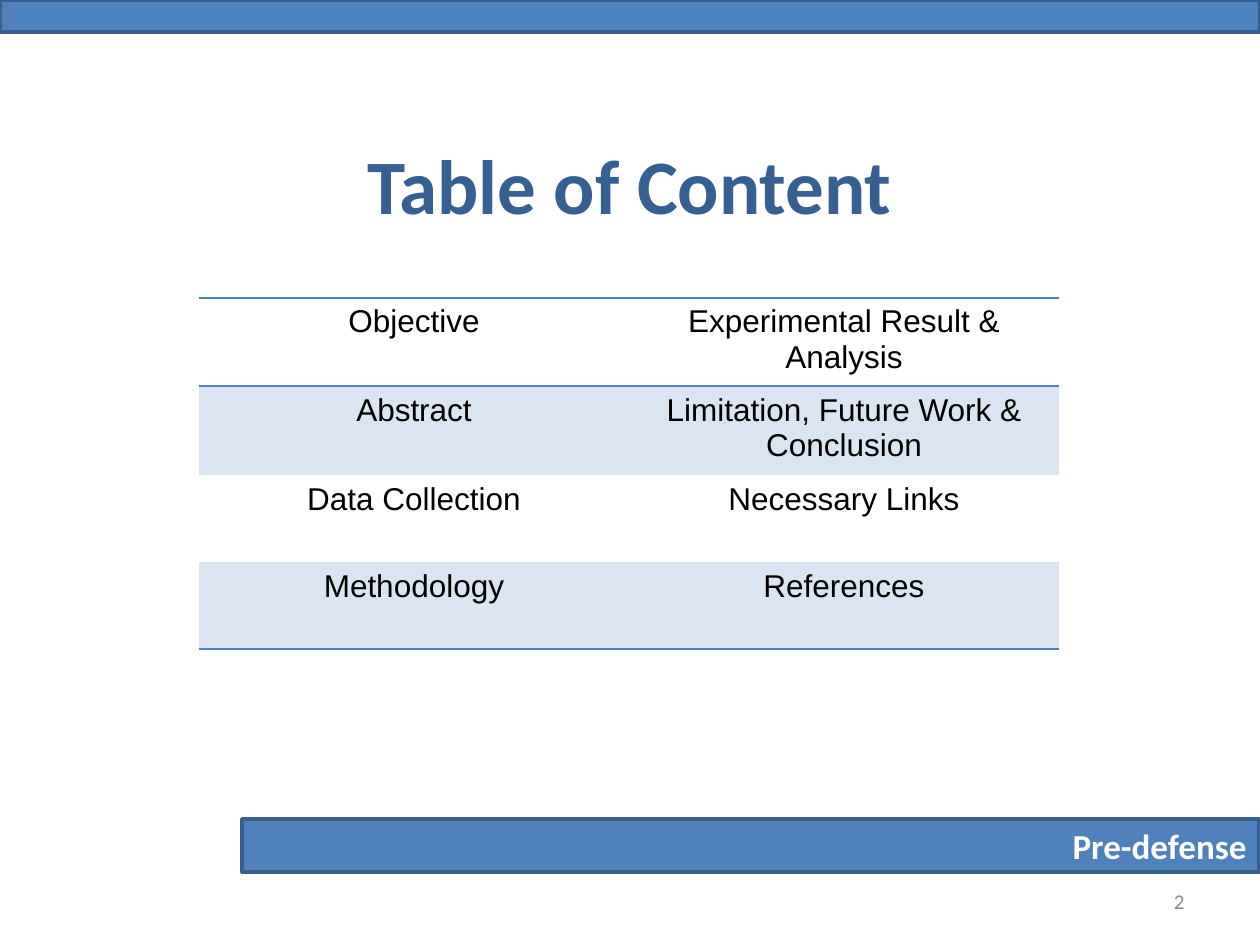
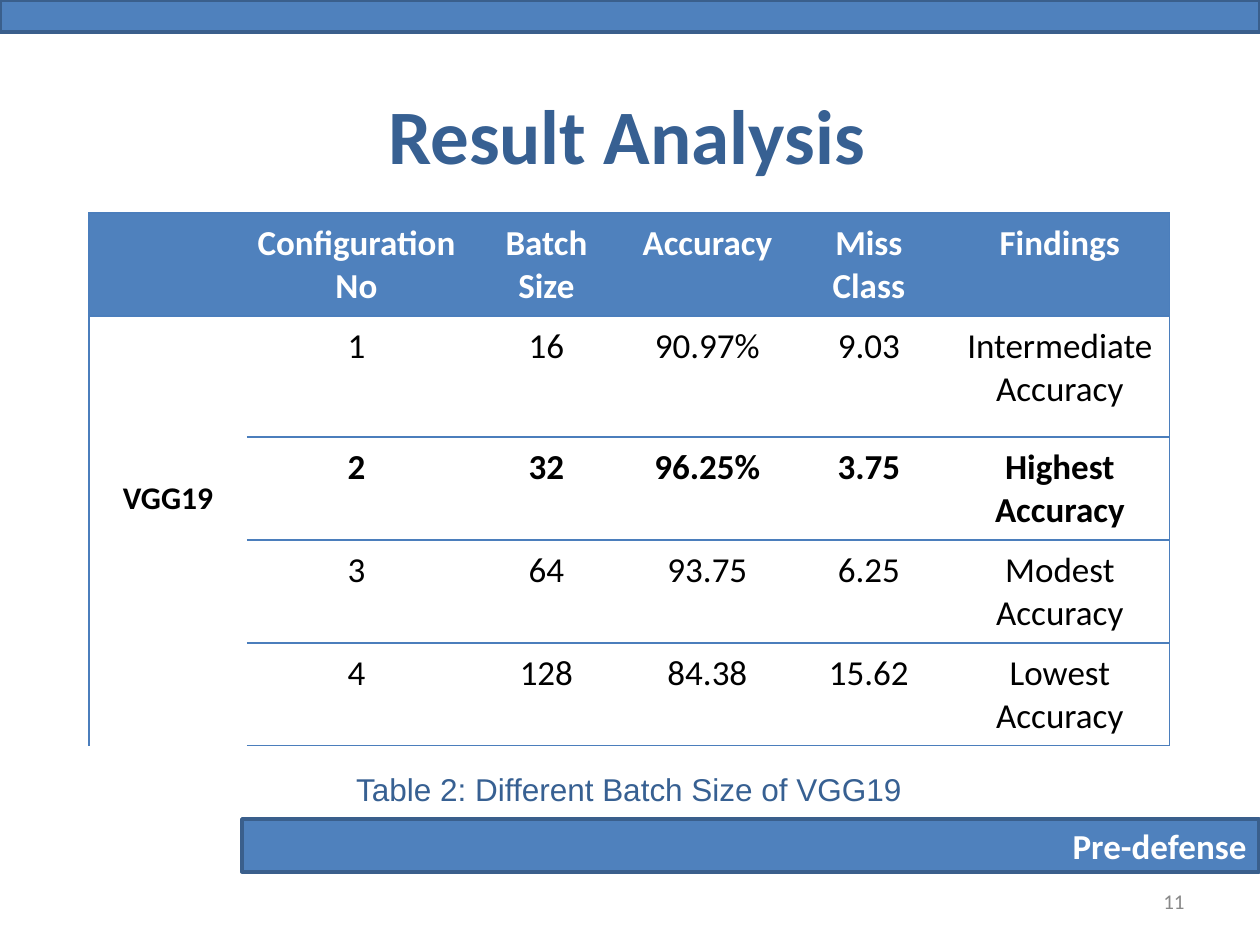
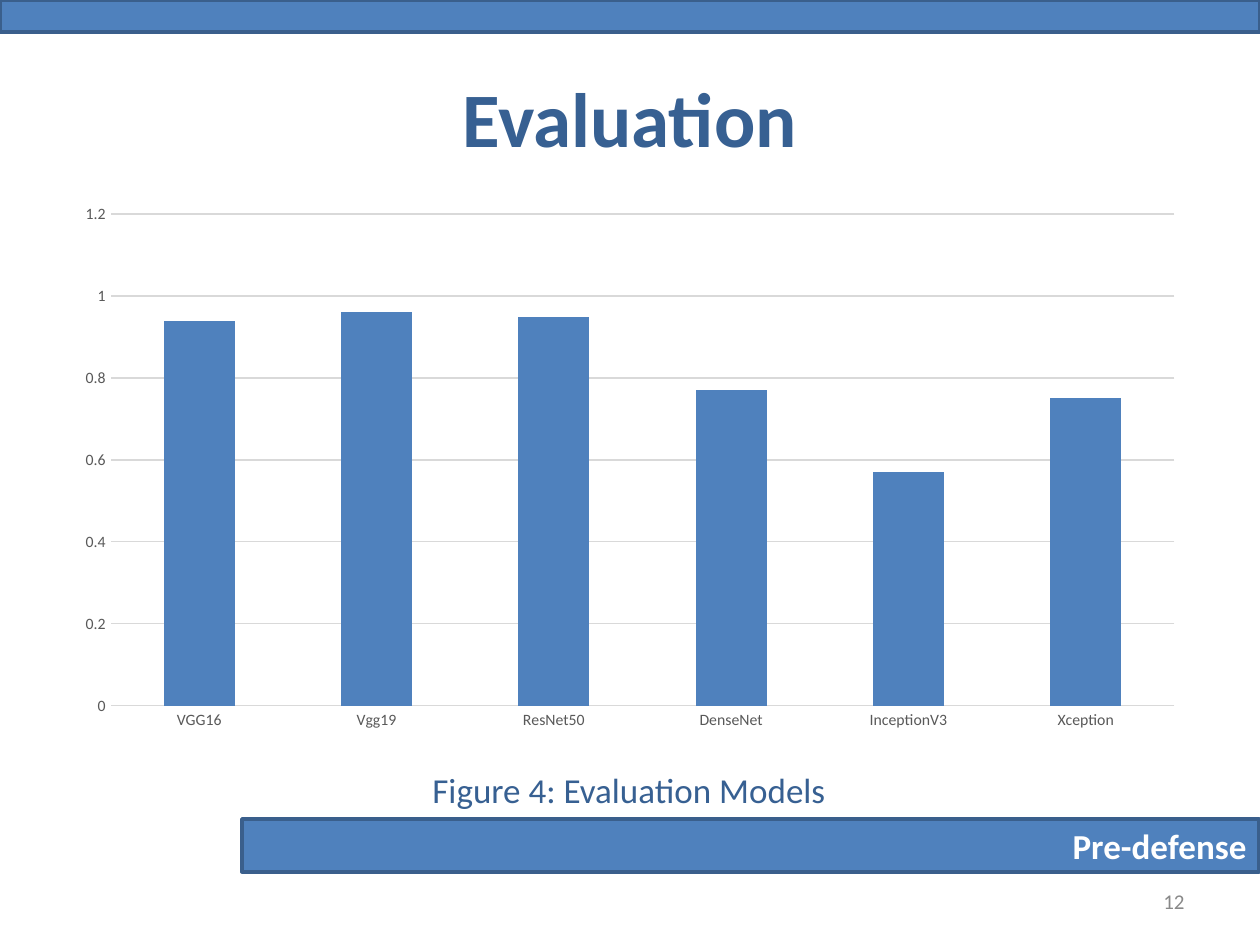
from dataclasses import dataclass

from lxml.etree import SubElement
from pptx import Presentation
from pptx.chart.data import CategoryChartData
from pptx.dml.color import RGBColor
from pptx.enum.chart import XL_CHART_TYPE, XL_TICK_MARK
from pptx.enum.shapes import MSO_SHAPE
from pptx.enum.text import MSO_ANCHOR, PP_ALIGN
from pptx.oxml.ns import qn
from pptx.util import Pt


@dataclass(frozen=True)
class Theme:
    """Colours, fonts and type sizes of the deck."""
    blue: str = "4F81BD"
    edge: str = "3A5F8C"
    rule: str = "4B7EBC"
    heading: str = "376092"
    white: str = "FFFFFF"
    black: str = "000000"
    number: str = "898989"
    label: str = "595959"
    gridline: str = "D9D9D9"
    sans: str = "Calibri"
    plain: str = "Arial"
    title: int = 44
    body: int = 20
    small: int = 18
    page_number: int = 12
    chart: int = 10
    axis: int = 9


THEME = Theme()
EMU_PER_PX = 914400 / 126
PAGE_SIZE = (1260, 945)
TOP_BAND = (0, 0, 1260, 32)
FOOTER_BAND = (242, 819, 1017, 53)
NUMBER_BOX = (903, 876, 294, 50)
TITLE_SIZE = (1134, 157)
FOOTER = "Pre-defense"
NO_STYLE = "{2D5ABB26-0587-4C30-8999-92F81FD0307C}"
EDGE_TAGS = {"left": "a:lnL", "right": "a:lnR", "top": "a:lnT", "bottom": "a:lnB"}

CONTENTS = [
    ("Objective", "Experimental Result & Analysis"),
    ("Abstract", "Limitation, Future Work & Conclusion"),
    ("Data Collection", "Necessary Links"),
    ("Methodology", "References"),
]
CONTENTS_PLACE = (199, 298)
CONTENTS_COLUMNS = (430, 430)
CONTENTS_ROWS = (87, 89, 87, 87)

RESULTS = [
    ("", "Configuration No", "Batch Size", "Accuracy", "Miss Class", "Findings"),
    ("VGG19", "1", "16", "90.97%", "9.03", "Intermediate Accuracy"),
    ("", "2", "32", "96.25%", "3.75", "Highest Accuracy"),
    ("", "3", "64", "93.75", "6.25", "Modest Accuracy"),
    ("", "4", "128", "84.38", "15.62", "Lowest Accuracy"),
]
RESULTS_PLACE = (89, 213)
RESULTS_COLUMNS = (158, 219, 161, 161, 162, 220)
RESULTS_ROWS = (103, 121, 103, 103, 103)
RESULTS_INSET = 9
MODEL_LIFT = 64
BEST_ROW = 2

ACCURACY = {"VGG16": 0.94, "Vgg19": 0.96, "ResNet50": 0.95,
            "DenseNet": 0.77, "InceptionV3": 0.57, "Xception": 0.75}
CHART_PLACE = (63, 194, 1134, 546)


def px(length):
    """Turn pixels into EMU."""
    return round(length * EMU_PER_PX)


def rgb(colour):
    """Turn a hex string into a colour."""
    return RGBColor.from_string(colour)


def write(frame, text, *, size, colour, font=THEME.sans, bold=False,
          align=PP_ALIGN.CENTER, spacing=None):
    """Write one formatted paragraph into a text frame."""
    para = frame.paragraphs[0]
    para.alignment = align
    para.line_spacing = spacing
    span = para.add_run()
    span.text = text
    span.font.size = Pt(size)
    span.font.name = font
    span.font.bold = bold
    span.font.color.rgb = rgb(colour)


def add_text(page, place, text, *, anchor=MSO_ANCHOR.MIDDLE, wrap=True, **style):
    """Add a text box."""
    box = page.shapes.add_textbox(*map(px, place))
    box.text_frame.word_wrap = wrap
    box.text_frame.vertical_anchor = anchor
    write(box.text_frame, text, **style)


def add_caption(page, place, text, **style):
    """Add a caption under a table or chart."""
    add_text(page, place, text, anchor=MSO_ANCHOR.TOP, wrap=False,
             colour=THEME.heading, spacing=1.5, **style)


def add_band(page, place):
    """Add an outlined blue band."""
    band = page.shapes.add_shape(MSO_SHAPE.RECTANGLE, *map(px, place))
    band.shadow.inherit = False
    band.fill.solid()
    band.fill.fore_color.rgb = rgb(THEME.blue)
    band.line.color.rgb = rgb(THEME.edge)
    band.line.width = Pt(2)
    return band


def add_page(deck, title, title_corner, number):
    """Add a page with its bands, title and number."""
    page = deck.slides.add_slide(deck.slide_layouts[6])
    footer = add_band(page, FOOTER_BAND)
    footer.text_frame.vertical_anchor = MSO_ANCHOR.MIDDLE
    write(footer.text_frame, FOOTER, size=THEME.body, colour=THEME.white,
          bold=True, align=PP_ALIGN.RIGHT)
    add_band(page, TOP_BAND)
    add_text(page, title_corner + TITLE_SIZE, title, size=THEME.title,
             colour=THEME.heading, bold=True)
    add_text(page, NUMBER_BOX, str(number), size=THEME.page_number,
             colour=THEME.number, align=PP_ALIGN.RIGHT)
    return page


def add_grid(page, corner, columns, rows):
    """Add an unstyled table with the given column widths and row heights."""
    place = corner + (sum(columns), sum(rows))
    table = page.shapes.add_table(len(rows), len(columns), *map(px, place)).table
    table.first_row = table.horz_banding = False
    table._tbl.tblPr.find(qn("a:tableStyleId")).text = NO_STYLE
    for column, width in zip(table.columns, columns):
        column.width = px(width)
    for row, height in zip(table.rows, rows):
        row.height = px(height)
    return table


def set_borders(cell, edges, colour, width):
    """Draw the named edges of a cell."""
    properties = cell._tc.get_or_add_tcPr()
    for edge, tag in EDGE_TAGS.items():
        if edge in edges:
            line = SubElement(properties, qn(tag), w=str(Pt(width)))
            fill = SubElement(line, qn("a:solidFill"))
            SubElement(fill, qn("a:srgbClr"), val=colour)


def set_fill(cell, colour=None, opacity=100):
    """Fill a cell, or leave it clear when no colour is given."""
    if colour is None:
        cell.fill.background()
        return
    cell.fill.solid()
    cell.fill.fore_color.rgb = rgb(colour)
    if opacity < 100:
        shade = cell._tc.tcPr.find(qn("a:solidFill")).find(qn("a:srgbClr"))
        SubElement(shade, qn("a:alpha"), val=str(opacity * 1000))


def fill_contents(table):
    """Fill the table of contents with shaded alternate rows."""
    row_edges = {0: ("top", "bottom"), len(CONTENTS) - 1: ("bottom",)}
    for r, entries in enumerate(CONTENTS):
        for c, text in enumerate(entries):
            cell = table.cell(r, c)
            set_borders(cell, row_edges.get(r, ()), THEME.blue, 1)
            set_fill(cell, THEME.blue if r % 2 else None, 20)
            write(cell.text_frame, text, size=THEME.small, colour=THEME.black,
                  font=THEME.plain)


def result_edges(r, c):
    """Name the edges drawn around one result cell."""
    edges = {"left"} if c == 0 else set()
    if c == len(RESULTS_COLUMNS) - 1:
        edges.add("right")
    if c or r < 2:
        edges.add("top")
    if c or r in (0, len(RESULTS) - 1):
        edges.add("bottom")
    return edges


def fill_results(table):
    """Fill the result table and join the model cell down its rows."""
    for r, entries in enumerate(RESULTS):
        for c, text in enumerate(entries):
            cell = table.cell(r, c)
            cell.margin_left = cell.margin_right = px(RESULTS_INSET)
            cell.margin_top = cell.margin_bottom = px(RESULTS_INSET)
            set_borders(cell, result_edges(r, c), THEME.rule, 0.75)
            set_fill(cell, None if r else THEME.blue)
            if text:
                write(cell.text_frame, text,
                      size=THEME.body if c else THEME.small,
                      colour=THEME.black if r else THEME.white,
                      bold=r in (0, BEST_ROW) or c == 0)
    model = table.cell(1, 0)
    model.merge(table.cell(len(RESULTS) - 1, 0))
    model.vertical_anchor = MSO_ANCHOR.MIDDLE
    model.margin_bottom = px(RESULTS_INSET + MODEL_LIFT)


def set_font(font, size, colour):
    """Set the font of a chart part."""
    font.name = THEME.sans
    font.size = Pt(size)
    font.color.rgb = rgb(colour)


def add_accuracy_chart(page):
    """Add the column chart of model accuracy."""
    data = CategoryChartData()
    data.categories = list(ACCURACY)
    data.add_series("Series 1", list(ACCURACY.values()))
    chart = page.shapes.add_chart(XL_CHART_TYPE.COLUMN_CLUSTERED,
                                  *map(px, CHART_PLACE), data).chart
    chart.has_title = chart.has_legend = False
    set_font(chart.font, THEME.chart, THEME.black)
    plot = chart.plots[0]
    plot.gap_width = 150
    plot.vary_by_categories = False
    columns = plot.series[0].format.fill
    columns.solid()
    columns.fore_color.rgb = rgb(THEME.blue)
    for axis in (chart.category_axis, chart.value_axis):
        axis.major_tick_mark = axis.minor_tick_mark = XL_TICK_MARK.NONE
        axis.format.line.fill.background()
        set_font(axis.tick_labels.font, THEME.axis, THEME.label)
    scale = chart.value_axis
    scale.minimum_scale, scale.maximum_scale, scale.major_unit = 0, 1.2, 0.2
    scale.has_major_gridlines = True
    scale.major_gridlines.format.line.color.rgb = rgb(THEME.gridline)
    scale.major_gridlines.format.line.width = Pt(0.75)


def main():
    """Build the deck and save it."""
    deck = Presentation()
    deck.slide_width, deck.slide_height = map(px, PAGE_SIZE)

    page = add_page(deck, "Table of Content", (63, 105), 2)
    fill_contents(add_grid(page, CONTENTS_PLACE, CONTENTS_COLUMNS, CONTENTS_ROWS))

    page = add_page(deck, "Result Analysis", (60, 55), 11)
    fill_results(add_grid(page, RESULTS_PLACE, RESULTS_COLUMNS, RESULTS_ROWS))
    add_caption(page, (341, 745, 576, 63), "Table 2: Different Batch Size of VGG19",
                size=THEME.small, font=THEME.plain)

    page = add_page(deck, "Evaluation", (63, 38), 12)
    add_accuracy_chart(page)
    add_caption(page, (418, 741, 422, 69), "Figure 4: Evaluation Models",
                size=THEME.body)

    deck.save("out.pptx")


if __name__ == "__main__":
    main()
